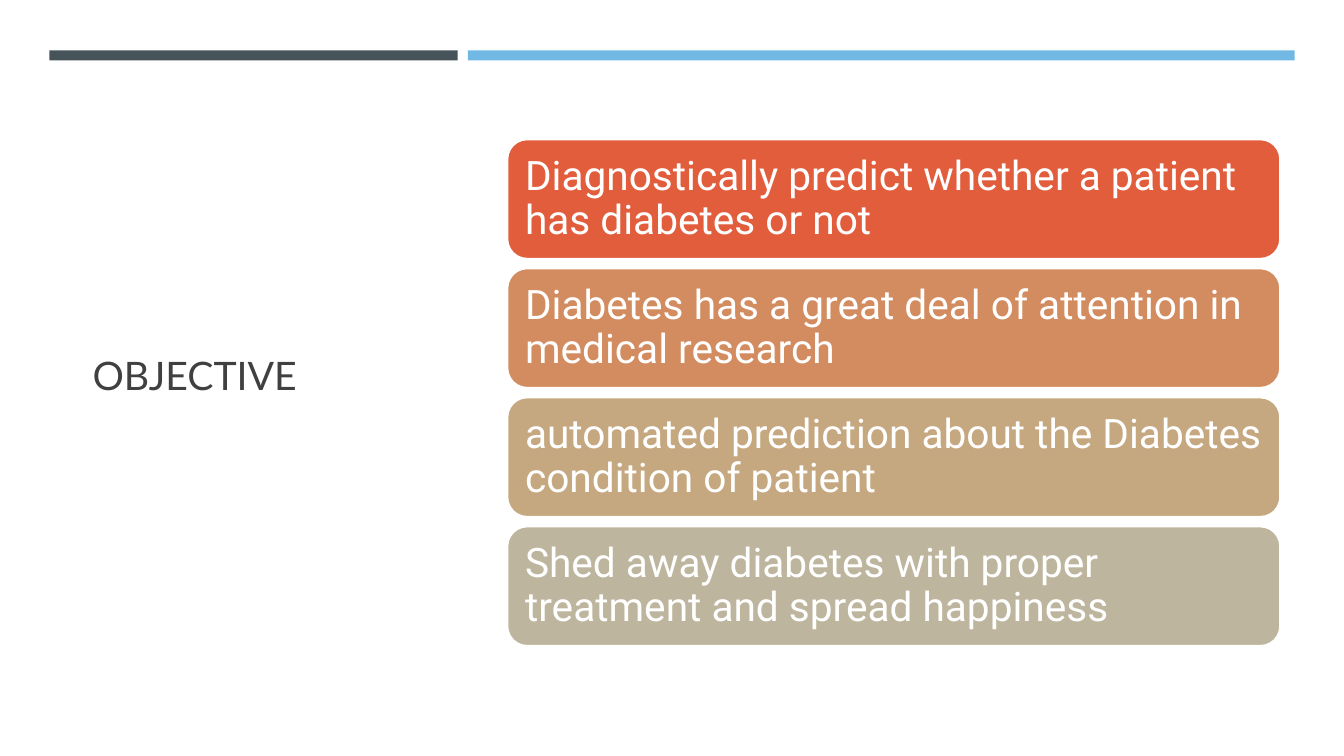
from pptx import Presentation
from pptx.dml.color import RGBColor
from pptx.enum.shapes import MSO_SHAPE as Shape
from pptx.enum.text import MSO_ANCHOR as Anchor, PP_ALIGN as Align
from pptx.util import Inches, Pt

COLORS = {
    "white": "FFFFFF",
    "title": "404040",
    "slate": "465359",
    "sky": "71B9E4",
    "red": "E25D3C",
    "orange": "D28C60",
    "tan": "C6A880",
    "stone": "BDB59D",
}
OBJECTIVES = [
    ("Diagnostically predict whether a patient has diabetes or not", "red"),
    ("Diabetes has a great deal of attention in medical research", "orange"),
    ("automated prediction about the Diabetes condition of patient", "tan"),
    ("Shed away diabetes with proper treatment and spread happiness", "stone"),
]
CARD_TOP, CARD_PITCH = 1.38, 1.28


class ObjectiveSlide:
    title_font = "Lato"
    card_font = "Roboto"

    def __init__(self, presentation):
        self.slide = presentation.slides.add_slide(presentation.slide_layouts[6])

    def color(self, name):
        return RGBColor.from_string(COLORS[name])

    def block(self, kind, left, top, width, height, fill):
        block = self.slide.shapes.add_shape(
            kind, Inches(left), Inches(top), Inches(width), Inches(height))
        block.shadow.inherit = False
        block.fill.solid()
        block.fill.fore_color.rgb = self.color(fill)
        block.line.fill.background()
        return block

    def set_text(self, frame, text, font, size, color):
        """Fill a frame with left-aligned, vertically centred text."""
        frame.word_wrap = True
        frame.vertical_anchor = Anchor.MIDDLE
        frame.text = text
        paragraph = frame.paragraphs[0]
        paragraph.alignment = Align.LEFT
        run_font = paragraph.runs[0].font
        run_font.name = font
        run_font.size = Pt(size)
        run_font.color.rgb = self.color(color)
        return paragraph

    def title(self, text, left, top, width, height):
        title = self.slide.shapes.add_textbox(
            Inches(left), Inches(top), Inches(width), Inches(height))
        self.set_text(title.text_frame, text, self.title_font, 28, "title")

    def bar(self, left, width, fill):
        self.block(Shape.RECTANGLE, left, 0.5, width, 0.1, fill)

    def card(self, text, top, fill):
        card = self.block(Shape.ROUNDED_RECTANGLE, 5.03, top, 7.67, 1.19, fill)
        card.line.color.rgb = self.color("white")
        card.line.width = Pt(1.75)
        frame = card.text_frame
        frame.margin_left = frame.margin_right = Inches(0.12)
        frame.margin_top = frame.margin_bottom = Inches(0.12)
        paragraph = self.set_text(frame, text, self.card_font, 29, "white")
        paragraph.line_spacing = 0.9


def main():
    presentation = Presentation()
    presentation.slide_width = Inches(13.33)
    presentation.slide_height = Inches(7.5)

    objective = ObjectiveSlide(presentation)
    objective.title("OBJECTIVE", 0.82, 1.14, 3.34, 5.15)
    objective.bar(0.49, 4.05, "slate")
    objective.bar(4.64, 8.2, "sky")
    for row, (goal, fill) in enumerate(OBJECTIVES):
        objective.card(goal, CARD_TOP + row * CARD_PITCH, fill)

    presentation.save("out.pptx")


if __name__ == "__main__":
    main()
